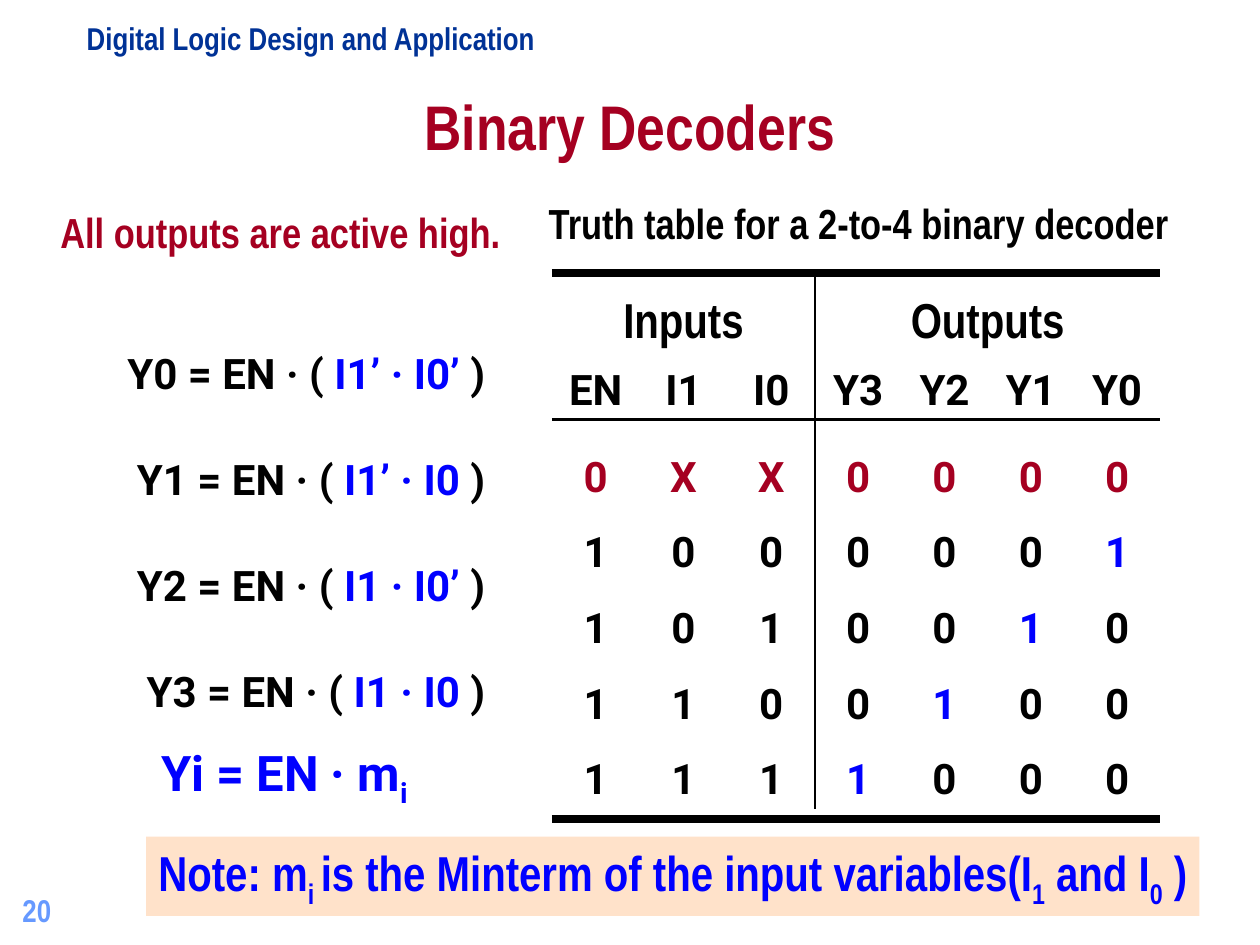
from lxml.etree import SubElement
from pptx import Presentation
from pptx.dml.color import RGBColor
from pptx.enum.shapes import MSO_CONNECTOR, MSO_SHAPE
from pptx.enum.text import MSO_ANCHOR, PP_ALIGN
from pptx.oxml.ns import qn
from pptx.util import Inches, Pt

BLACK = RGBColor(0, 0, 0)
BLUE = RGBColor(0, 0, 255)
RED = RGBColor(0xA5, 0, 0x21)
NAVY = RGBColor(0, 0x32, 0x96)
SKY = RGBColor(0x66, 0x99, 0xFF)
PEACH = RGBColor(0xFF, 0xE2, 0xCA)
NARROW, ROBOTO = "Arial Narrow", "Roboto"
LEFT, MID, RIGHT = PP_ALIGN.LEFT, PP_ALIGN.CENTER, PP_ALIGN.RIGHT

TERMS = [("Y0", "I1’ · I0’"), ("Y1", "I1’ · I0"), ("Y2", "I1 · I0’"), ("Y3", "I1 · I0")]
RULE = [("Yi = EN · m", 0), ("i", 1)]
NOTE = [("Note: m", 0), ("i ", 1), ("is the Minterm of the input variables(I", 0),
        ("1", 1), (" and I", 0), ("0", 1), (" )", 0)]
NAMES = ["EN", "I1", "I0", "Y3", "Y2", "Y1", "Y0"]
TRUTH = ["0XX0000", "1000001", "1010010", "1100100", "1111000"]
INS, OUTS = 3, 4
X0, XMID, X1 = 4.38, 6.47, 9.21
Y0, YHEAD, YEND = 2.17, 3.33, 6.5
HEIGHTS = [0.7, 0.46, 0.76] + [0.6] * (len(TRUTH) - 1)


def write(frame, lines, size=24, font=NARROW, color=BLACK, align=LEFT, gap=None):
    for i, line in enumerate(lines):
        para = frame.paragraphs[0] if i == 0 else frame.add_paragraph()
        para.alignment = align
        if gap:
            para.line_spacing = gap
        for text, low, *tint in line:
            run = para.add_run()
            run.text = text
            run.font.size = Pt(size)
            run.font.name = font
            run.font.bold = True
            run.font.color.rgb = tint[0] if tint else color
            if low:
                run.font._element.set("baseline", "-25000")


def label(area, lines, **look):
    box = slide.shapes.add_textbox(*map(Inches, area))
    box.text_frame.word_wrap = False
    write(box.text_frame, lines, **look)
    return box


def rule(x1, y1, x2, y2, width):
    line = slide.shapes.add_connector(MSO_CONNECTOR.STRAIGHT, *map(Inches, (x1, y1, x2, y2)))
    line.line.color.rgb = BLACK
    line.line.width = Pt(width)
    SubElement(line._element.spPr, qn("a:effectLst"))


def fill(row, col, text, foot=0.1, **look):
    cell = grid.cell(row, col)
    cell.vertical_anchor = MSO_ANCHOR.BOTTOM
    cell.margin_left = cell.margin_right = cell.margin_top = 0
    cell.margin_bottom = Inches(foot)
    write(cell.text_frame, [[(text, 0)]], align=MID, **look)


deck = Presentation()
deck.slide_width, deck.slide_height = Inches(10), Inches(7.5)
slide = deck.slides.add_slide(deck.slide_layouts[5])

title = slide.shapes.title
title.left, title.top, title.width, title.height = map(Inches, (0, 0.6, 10, 0.79))
title.text_frame.vertical_anchor = MSO_ANCHOR.MIDDLE
write(title.text_frame, [[("Binary Decoders", 0)]], size=36, color=RED, align=MID)

label((0.59, 0.1, 3.76, 0.4), [[("Digital Logic Design and Application", 0)]], size=18, color=NAVY)
page = label((0.08, 6.92, 2.08, 0.5), [[("20", 0)]], size=18, color=SKY)
page.text_frame.word_wrap = True
page.text_frame.vertical_anchor = MSO_ANCHOR.BOTTOM
label((0.38, 1.59, 3.69, 0.5), [[("All outputs are active high.", 0)]], color=RED)
label((4.25, 1.52, 5.13, 0.5), [[("Truth table for a 2-to-4 binary decoder", 0)]], align=MID)

sums = [[(f"{out} = EN · ( ", 0), (term, 0, BLUE), (" )", 0)] for out, term in TERMS]
label((0.81, 2.27, 3.14, 3.46), sums, font=ROBOTO, align=RIGHT, gap=2.1)
label((1.18, 5.84, 2.34, 0.63), [RULE], size=28, font=ROBOTO, color=BLUE)

grid = slide.shapes.add_table(len(HEIGHTS), len(NAMES), Inches(X0), Inches(Y0),
                              Inches(X1 - X0), Inches(sum(HEIGHTS))).table
grid.first_row = grid.horz_banding = False
for row, height in zip(grid.rows, HEIGHTS):
    row.height = Inches(height)
for i, col in enumerate(grid.columns):
    col.width = Inches((XMID - X0) / INS if i < INS else (X1 - XMID) / OUTS)
for cell in grid.iter_cells():
    cell.fill.background()
for text, first, last in [("Inputs", 0, INS - 1), ("Outputs", INS, INS + OUTS - 1)]:
    grid.cell(0, first).merge(grid.cell(0, last))
    fill(0, first, text, size=28)
for col, name in enumerate(NAMES):
    fill(1, col, name, foot=0.03, font=ROBOTO)
for row, bits in enumerate(TRUTH):
    for col, bit in enumerate(bits):
        hit = BLUE if col >= INS and bit == "1" else BLACK
        fill(row + 2, col, bit, font=ROBOTO, color=hit if row else RED)

for y, width in [(Y0, 4.5), (YHEAD, 1.5), (YEND, 4.5)]:
    rule(X0, y, X1, y, width)
rule(XMID, Y0, XMID, 6.42, 1.5)

note = slide.shapes.add_shape(MSO_SHAPE.RECTANGLE, *map(Inches, (1.16, 6.64, 8.36, 0.63)))
note.shadow.inherit = False
note.fill.solid()
note.fill.fore_color.rgb = PEACH
note.line.fill.background()
note.text_frame.word_wrap = False
note.text_frame.vertical_anchor = MSO_ANCHOR.TOP
write(note.text_frame, [NOTE], size=28, color=BLUE)

deck.save("out.pptx")
